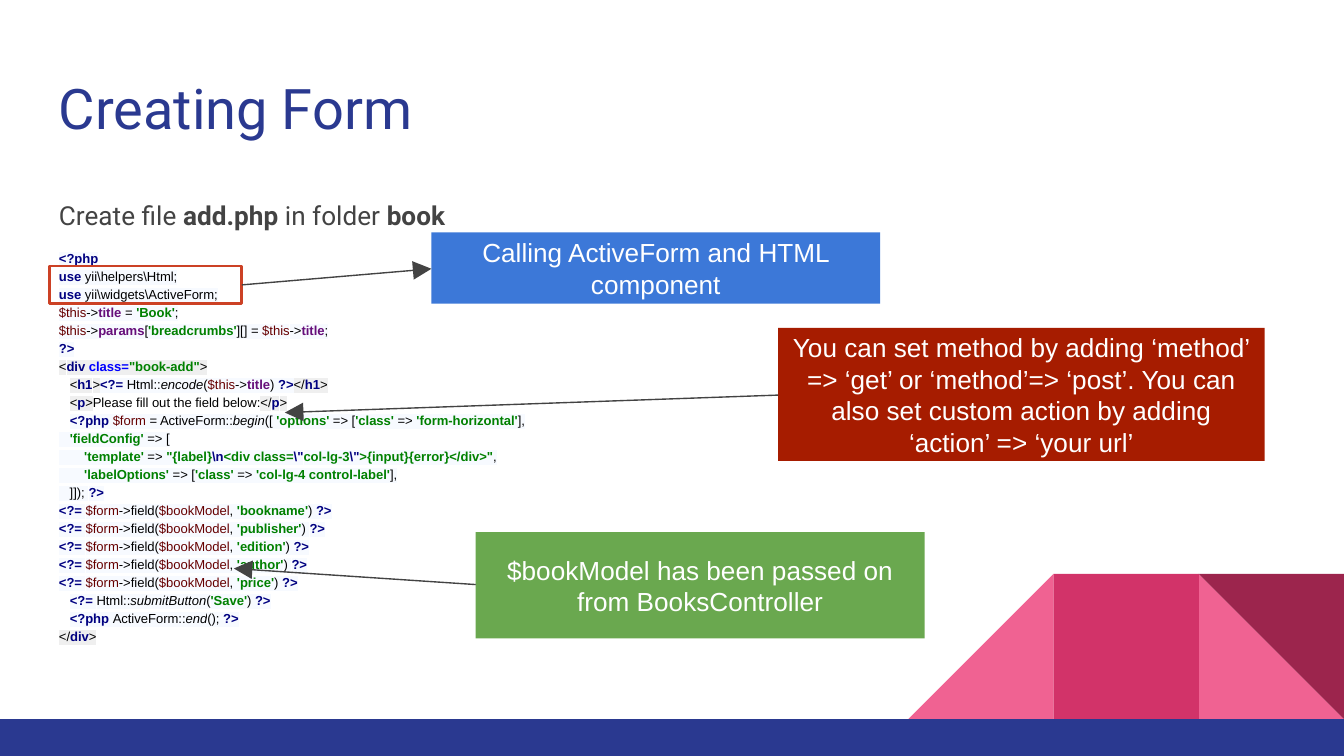
from lxml import etree
from pptx import Presentation
from pptx.dml.color import RGBColor
from pptx.enum import shapes, text
from pptx.oxml import ns
from pptx.util import Inches, Pt

INDIGO = RGBColor(0x2A, 0x39, 0x90)
PINK = RGBColor(0xF0, 0x62, 0x92)
ROSE = RGBColor(0xD2, 0x33, 0x69)
WINE = RGBColor(0x9C, 0x25, 0x4D)
GREY = RGBColor(0x43, 0x43, 0x43)
WHITE = RGBColor(0xFF, 0xFF, 0xFF)
BLACK = RGBColor(0x00, 0x00, 0x00)
NAVY = RGBColor(0x00, 0x00, 0x80)
BLUE = RGBColor(0x00, 0x00, 0xFF)
GREEN = RGBColor(0x00, 0x80, 0x00)
MAROON = RGBColor(0x66, 0x00, 0x00)
PURPLE = RGBColor(0x66, 0x0E, 0x7A)
PALE_BLUE = RGBColor(0xF7, 0xFA, 0xFF)
PALE_GREY = RGBColor(0xEF, 0xEF, 0xEF)
LEAF = RGBColor(0x6A, 0xA8, 0x4F)
SKY = RGBColor(0x3C, 0x78, 0xD8)
BRICK = RGBColor(0xA6, 0x1C, 0x00)
RED = RGBColor(0xCC, 0x41, 0x25)

STYLES = {
    "plain": (BLACK, False, False, PALE_BLUE),
    "call": (BLACK, False, True, PALE_BLUE),
    "key": (NAVY, True, False, PALE_BLUE),
    "var": (MAROON, False, False, PALE_BLUE),
    "member": (PURPLE, True, False, PALE_BLUE),
    "str": (GREEN, True, False, PALE_BLUE),
    "bracket": (BLACK, False, False, PALE_GREY),
    "tag": (NAVY, True, False, PALE_GREY),
    "attr": (BLUE, True, False, PALE_GREY),
    "value": (GREEN, True, False, PALE_GREY),
    "white": (BLACK, False, False, WHITE),
}

THIS = [("var", "$this"), ("plain", "->")]
END = ("key", "?>")
INDENT = ("white", "   ")


def add_run(paragraph, words, size, font, color, bold=False, italic=False):
    run = paragraph.add_run()
    run.text = words
    run.font.size = Pt(size)
    run.font.name = font
    run.font.color.rgb = color
    run.font.bold = bold
    run.font.italic = italic
    return run


def add_block(kind, x, y, w, h, fill=None):
    block = slide.shapes.add_shape(kind, Inches(x), Inches(y), Inches(w), Inches(h))
    block.shadow.inherit = False
    block.line.fill.background()
    if fill is None:
        block.fill.background()
    else:
        block.fill.solid()
        block.fill.fore_color.rgb = fill
    return block


fields = [
    [("key", "<?= "), ("var", "$form"), ("plain", "->field("), ("var", "$bookModel"),
     ("plain", ", "), ("str", f"'{name}'"), ("plain", ") "), END]
    for name in ("bookname", "publisher", "edition", "author", "price")
]

code = [
    [("key", "<?php")],
    [("key", "use "), ("plain", "yii\\helpers\\Html;")],
    [("key", "use "), ("plain", "yii\\widgets\\ActiveForm;")],
    [*THIS, ("member", "title "), ("plain", "= "), ("str", "'Book'"), ("plain", ";")],
    [*THIS, ("member", "params"), ("plain", "["), ("str", "'breadcrumbs'"),
     ("plain", "][] = "), *THIS, ("member", "title"), ("plain", ";")],
    [END],
    [("bracket", "<"), ("tag", "div "), ("attr", "class="), ("value", '"book-add"'),
     ("bracket", ">")],
    [INDENT, ("bracket", "<"), ("tag", "h1"), ("bracket", ">"), ("key", "<?= "),
     ("plain", "Html::"), ("call", "encode"), ("plain", "("), *THIS, ("member", "title"),
     ("plain", ") "), END, ("bracket", "</"), ("tag", "h1"), ("bracket", ">")],
    [INDENT, ("bracket", "<"), ("tag", "p"), ("bracket", ">"),
     ("white", "Please fill out the field below:"),
     ("bracket", "</"), ("tag", "p"), ("bracket", ">")],
    [INDENT, ("key", "<?php "), ("var", "$form "), ("plain", "= ActiveForm::"),
     ("call", "begin"), ("plain", "([ "), ("str", "'options' "), ("plain", "=> ["),
     ("str", "'class' "), ("plain", "=> "), ("str", "'form-horizontal'"), ("plain", "],")],
    [("plain", "   "), ("str", "'fieldConfig' "), ("plain", "=> [")],
    [("plain", "       "), ("str", "'template' "), ("plain", "=> "), ("str", '"{label}'),
     ("key", "\\n"), ("str", "<div class="), ("key", '\\"'), ("str", "col-lg-3"),
     ("key", '\\"'), ("str", '>{input}{error}</div>"'), ("plain", ",")],
    [("plain", "       "), ("str", "'labelOptions' "), ("plain", "=> ["),
     ("str", "'class' "), ("plain", "=> "), ("str", "'col-lg-4 control-label'"),
     ("plain", "],")],
    [("plain", "   ]]); "), END],
    *fields,
    [INDENT, ("key", "<?= "), ("plain", "Html::"), ("call", "submitButton"),
     ("plain", "("), ("str", "'Save'"), ("plain", ") "), END],
    [INDENT, ("key", "<?php "), ("plain", "ActiveForm::"), ("call", "end"),
     ("plain", "(); "), END],
    [("bracket", "</"), ("tag", "div"), ("bracket", ">")],
]

deck = Presentation()
deck.slide_width = Inches(10)
deck.slide_height = Inches(10 * 9 / 16)
slide = deck.slides.add_slide(deck.slide_layouts[6])

RECT = shapes.MSO_SHAPE.RECTANGLE
TRIANGLE = shapes.MSO_SHAPE.RIGHT_TRIANGLE
side = 1.08
add_block(TRIANGLE, 10 - side, 4.27, side, side, PINK)
left_slope = add_block(TRIANGLE, 10 - 3 * side, 4.27, side, side, PINK)
left_slope._element.spPr.xfrm.set("flipH", "1")
add_block(RECT, 10 - 2 * side, 4.27, side, side, ROSE)
add_block(TRIANGLE, 10 - side, 4.27, side, side, WINE).rotation = 180
add_block(RECT, 0, 5.35, 10, 0.28, INDIGO)

frames = []
for top, height in ((0.45, 0.66), (1.35, 3.65)):
    box = slide.shapes.add_textbox(Inches(0.34), Inches(top), Inches(9.32), Inches(height))
    frame = box.text_frame
    frame.word_wrap = True
    frame.margin_left = frame.margin_right = Inches(0.1)
    frame.margin_top = frame.margin_bottom = Inches(0.1)
    frames.append(frame)
title, body = frames

add_run(title.paragraphs[0], "Creating Form", 30, "Roboto", INDIGO)

intro = body.paragraphs[0]
intro.line_spacing = 1.15
for words, bold in (("Create file ", False), ("add.php", True),
                    (" in folder ", False), ("book", True)):
    add_run(intro, words, 14, "Roboto", GREY, bold)

for number, tokens in enumerate(code):
    code_line = body.add_paragraph()
    code_line.line_spacing = 1.15
    if number == 0:
        code_line.space_before = Pt(9.4)
    for style, words in tokens:
        color, bold, italic, shade = STYLES[style]
        run = add_run(code_line, words, 7, "Arial", color, bold, italic)
        highlight = etree.Element(ns.qn("a:highlight"))
        etree.SubElement(highlight, ns.qn("a:srgbClr"), val=str(shade))
        run.font._element.find(ns.qn("a:solidFill")).addnext(highlight)

callouts = [
    ("$bookModel has been passed on from BooksController",
     3.54, 3.96, 3.34, 0.79, LEAF),
    ("Calling ActiveForm and HTML component", 3.21, 1.73, 3.34, 0.53, SKY),
    ("You can set method by adding ‘method’ => ‘get’ or ‘method’=> ‘post’. "
     "You can also set custom action by adding ‘action’ => ‘your url’",
     5.79, 2.44, 3.62, 0.99, BRICK),
]
for words, x, y, w, h, fill in callouts:
    callout = add_block(RECT, x, y, w, h, fill).text_frame
    callout.word_wrap = True
    callout.vertical_anchor = text.MSO_ANCHOR.MIDDLE
    callout.margin_left = callout.margin_right = Inches(0.1)
    callout.margin_top = callout.margin_bottom = Inches(0.1)
    callout.paragraphs[0].alignment = text.PP_ALIGN.CENTER
    add_run(callout.paragraphs[0], words, 14, "Arial", WHITE)

imports_frame = add_block(RECT, 0.37, 1.98, 1.43, 0.28)
imports_frame.line.color.rgb = RED
imports_frame.line.width = Pt(1.5)

for ends in ((3.54, 4.35, 1.74, 4.23), (1.8, 2.12, 3.21, 2), (5.79, 2.94, 2.12, 3.07)):
    arrow = slide.shapes.add_connector(
        shapes.MSO_CONNECTOR.STRAIGHT, *(Inches(value) for value in ends))
    arrow.line.color.rgb = GREY
    arrow.line.width = Pt(0.75)
    etree.SubElement(arrow.line._get_or_add_ln(), ns.qn("a:tailEnd"),
                     type="triangle", w="lg", len="lg")
    etree.SubElement(arrow._element.spPr, ns.qn("a:effectLst"))

deck.save("out.pptx")
